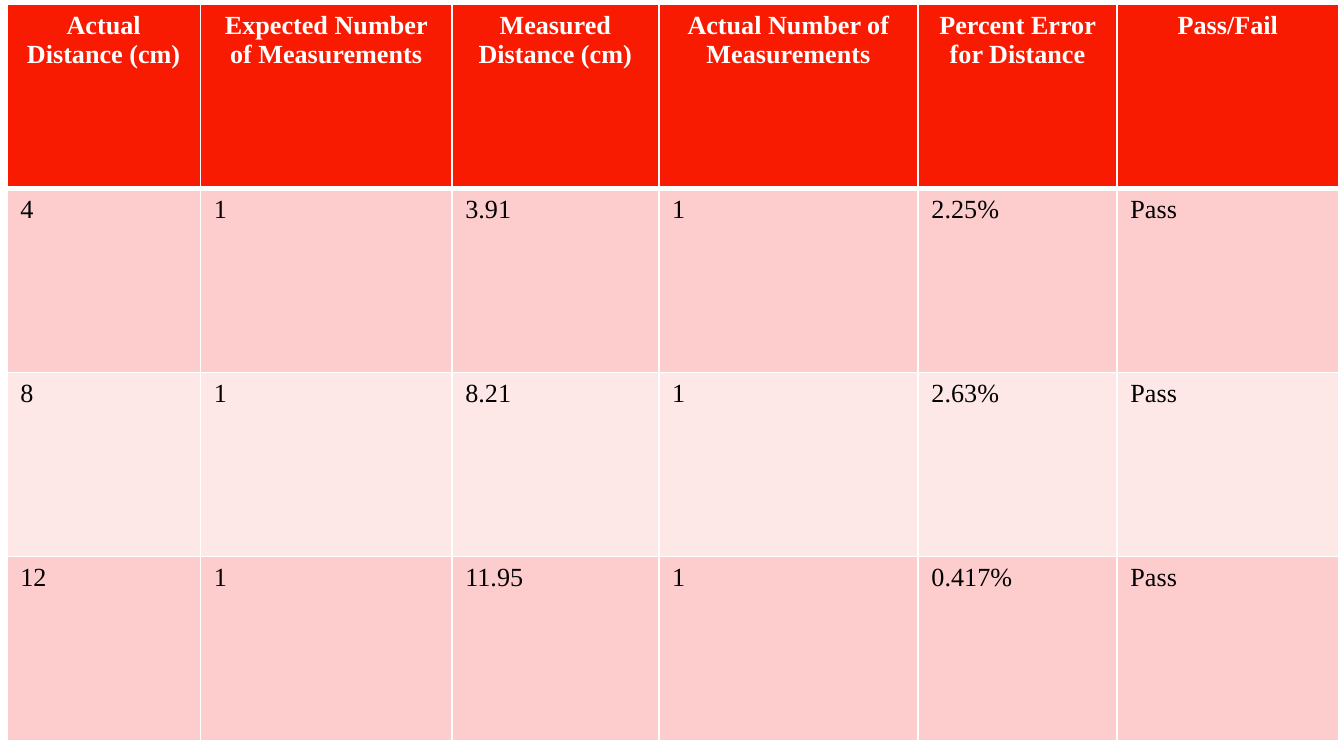
from lxml.etree import SubElement
from pptx import Presentation
from pptx.dml.color import RGBColor as RGB
from pptx.enum.text import PP_ALIGN as Align
from pptx.oxml.ns import qn
from pptx.util import Cm, Pt

COLORS = {
    "header": "F81B02",
    "dark_band": "FCCDCC",
    "light_band": "FEE8E7",
    "border": "FFFFFF",
    "header_text": "FFFFFF",
    "body_text": "000000",
}
COLUMN_WIDTHS = [3.66, 4.75, 3.91, 4.9, 3.76, 4.19]
ROW_HEIGHT = 3.48
RESULTS = [
    ["Actual Distance (cm)", "Expected Number of Measurements",
     "Measured Distance (cm)", "Actual Number of Measurements",
     "Percent Error for Distance", "Pass/Fail"],
    ["4", "1", "3.91", "1", "2.25%", "Pass"],
    ["8", "1", "8.21", "1", "2.63%", "Pass"],
    ["12", "1", "11.95", "1", "0.417%", "Pass"],
]


class SlideBuilder:
    font_name = "Times New Roman"
    font_size = Pt(14)
    thin_line = Pt(1)
    thick_line = Pt(3)

    def __init__(self, slide):
        self.slide = slide

    def table(self, left, top, column_widths, row_height, rows):
        shape = self.slide.shapes.add_table(
            len(rows), len(column_widths), Cm(left), Cm(top),
            Cm(sum(column_widths)), Cm(row_height * len(rows)))
        table = shape.table
        for column, width in zip(table.columns, column_widths):
            column.width = Cm(width)
        for row_index, texts in enumerate(rows):
            table.rows[row_index].height = Cm(row_height)
            for column_index, text in enumerate(texts):
                self.cell(table.cell(row_index, column_index), text, row_index)

    def cell(self, cell, text, row_index):
        is_header = row_index == 0
        band = "dark_band" if row_index % 2 else "light_band"
        self.borders(cell, row_index)
        cell.fill.solid()
        cell.fill.fore_color.rgb = RGB.from_string(COLORS["header" if is_header else band])
        cell.text_frame.text = text
        paragraph = cell.text_frame.paragraphs[0]
        paragraph.alignment = Align.CENTER if is_header else Align.LEFT
        font = paragraph.runs[0].font
        font.name = self.font_name
        font.size = self.font_size
        font.bold = is_header
        font.color.rgb = RGB.from_string(COLORS["header_text" if is_header else "body_text"])

    def borders(self, cell, row_index):
        """Line all four sides, thicker where the header meets the body."""
        thick_side = {0: "lnB", 1: "lnT"}.get(row_index)
        properties = cell._tc.get_or_add_tcPr()
        for side in ("lnL", "lnR", "lnT", "lnB"):
            width = self.thick_line if side == thick_side else self.thin_line
            line = SubElement(properties, qn(f"a:{side}"), w=str(width))
            fill = SubElement(line, qn("a:solidFill"))
            SubElement(fill, qn("a:srgbClr"), val=COLORS["border"])


def main():
    presentation = Presentation()
    presentation.slide_width = Cm(25.4)
    presentation.slide_height = Cm(14.29)
    slide = presentation.slides.add_slide(presentation.slide_layouts[6])
    builder = SlideBuilder(slide)
    builder.table(0.13, 0.08, COLUMN_WIDTHS, ROW_HEIGHT, RESULTS)
    presentation.save("out.pptx")


if __name__ == "__main__":
    main()
